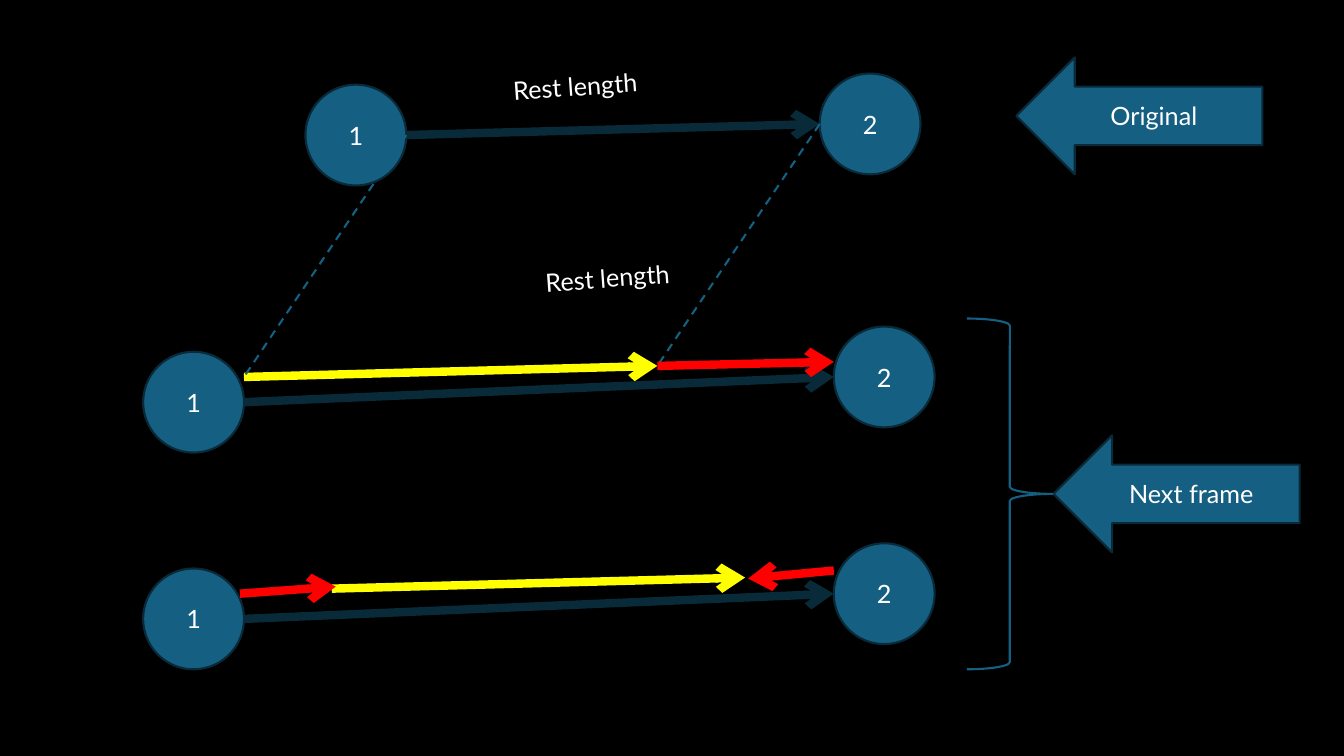
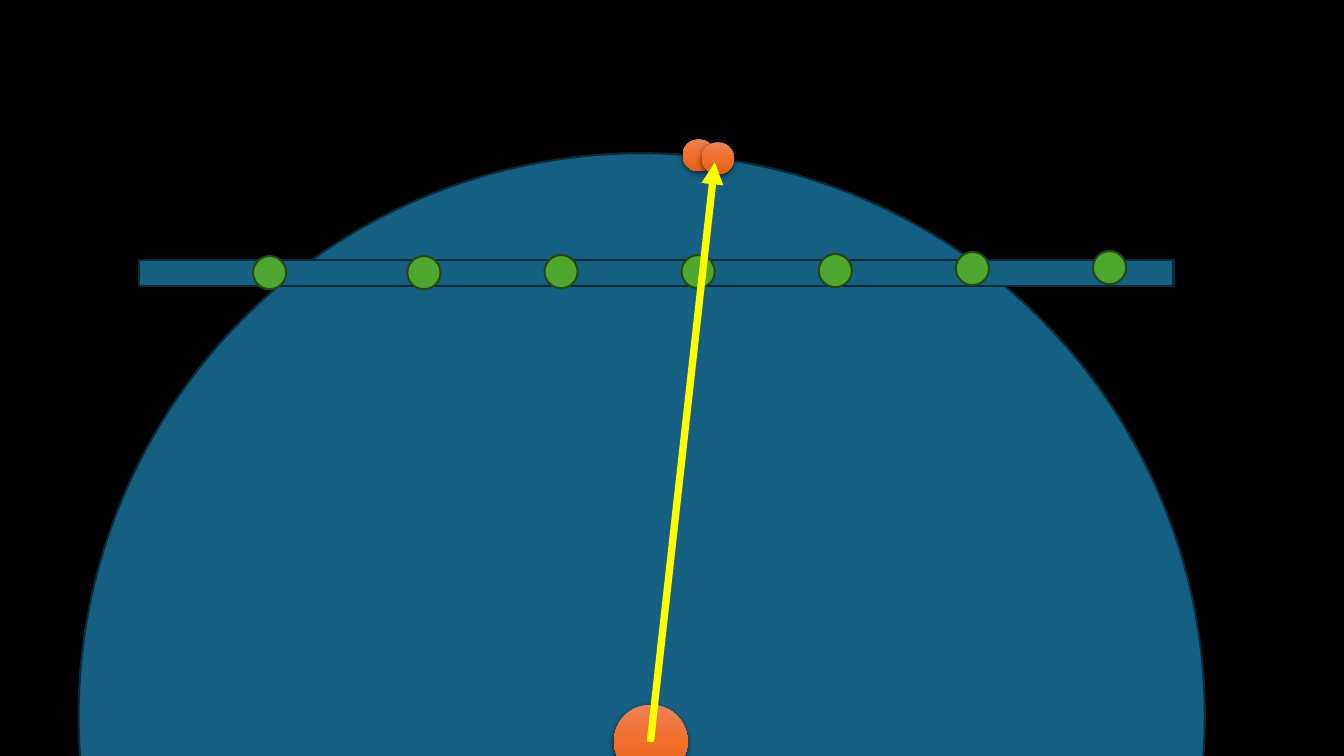
from dataclasses import dataclass

from lxml import etree
from pptx import Presentation
from pptx.dml.color import RGBColor
from pptx.enum.dml import MSO_LINE
from pptx.enum.shapes import MSO_CONNECTOR, MSO_SHAPE
from pptx.enum.text import MSO_ANCHOR, MSO_AUTO_SIZE, PP_ALIGN
from pptx.oxml.ns import qn
from pptx.util import Pt

ELLIPSE = MSO_SHAPE.OVAL
RECTANGLE = MSO_SHAPE.RECTANGLE
LEFT_ARROW = MSO_SHAPE.LEFT_ARROW
RIGHT_BRACE = MSO_SHAPE.RIGHT_BRACE
STRAIGHT = MSO_CONNECTOR.STRAIGHT
DASH = MSO_LINE.DASH

EMU_PER_PX = 9144  # 100 px to the inch
FONT = "Lato"
TEXT_SIZE = 18
OUTLINE_WIDTH = 1.5
ARROW_WIDTH = 6
RADIUS_ARROW_WIDTH = 5.25

BLACK = "000000"
WHITE = "FFFFFF"
BLUE = "156082"
NAVY = "092A39"
GREEN = "4EA72E"
DARK_GREEN = "224914"
YELLOW = "FFFF00"
RED = "FF0000"
ORANGE_STOPS = ((0, "ED8257"), (50, "F26E29"), (100, "E25F1A"))

NODE_SIZE = 100
REST_VECTOR = (410, -11)
LABEL_ROTATION = -4.1


@dataclass(frozen=True)
class Box:
    left: int
    top: int
    width: int
    height: int


@dataclass(frozen=True)
class Arrow:
    start: tuple[int, int]
    end: tuple[int, int]
    color: str


@dataclass(frozen=True)
class SpringRow:
    """Top left corners of the two nodes of one spring."""
    first: tuple[int, int]
    second: tuple[int, int]


ORIGINAL = SpringRow((303, 84), (813, 73))
STRETCHED = SpringRow((142, 349), (827, 324))
CORRECTED = SpringRow((142, 564), (827, 539))


def px(length: int) -> int:
    return length * EMU_PER_PX


def rgb(color: str) -> RGBColor:
    return RGBColor.from_string(color)


def shifted(point: tuple[int, int], offset: tuple[int, int]) -> tuple[int, int]:
    return point[0] + offset[0], point[1] + offset[1]


def add_run(paragraph, text: str) -> None:
    run = paragraph.add_run()
    run.text = text
    run.font.name = FONT
    run.font.size = Pt(TEXT_SIZE)
    run.font.color.rgb = rgb(WHITE)


def add_shape(shapes, kind, box: Box, fill: str | None, line: str | None, text: str = ""):
    shape = shapes.add_shape(kind, px(box.left), px(box.top), px(box.width), px(box.height))
    shape.shadow.inherit = False
    if fill:
        shape.fill.solid()
        shape.fill.fore_color.rgb = rgb(fill)
    else:
        shape.fill.background()
    if line:
        shape.line.color.rgb = rgb(line)
        shape.line.width = Pt(OUTLINE_WIDTH)
    else:
        shape.line.fill.background()
    if text:
        shape.text_frame.vertical_anchor = MSO_ANCHOR.MIDDLE
        paragraph = shape.text_frame.paragraphs[0]
        paragraph.alignment = PP_ALIGN.CENTER
        add_run(paragraph, text)
    return shape


def add_color_element(parent, color: str):
    return etree.SubElement(parent, qn("a:srgbClr"), val=color)


def add_ball(shapes, left: int, top: int, size: int) -> None:
    """Draw an orange gradient disc with a soft shadow below it."""
    ball = add_shape(shapes, ELLIPSE, Box(left, top, size, size), None, None)
    ball.fill.gradient()
    ball.fill.gradient_angle = 270
    properties = ball._element.spPr
    stops = properties.find(qn("a:gradFill")).find(qn("a:gsLst"))
    for stop in list(stops):
        stops.remove(stop)
    for position, color in ORANGE_STOPS:
        add_color_element(etree.SubElement(stops, qn("a:gs"), pos=str(position * 1000)), color)
    shadow = etree.SubElement(
        properties.find(qn("a:effectLst")), qn("a:outerShdw"),
        blurRad=str(Pt(4.5)), dist=str(Pt(1.5)), dir=str(90 * 60000),
        algn="ctr", rotWithShape="0",
    )
    etree.SubElement(add_color_element(shadow, BLACK), qn("a:alpha"), val="63000")


def add_line(shapes, start: tuple[int, int], end: tuple[int, int], color: str,
             width: float, head: str = "", dash=None) -> None:
    connector = shapes.add_connector(STRAIGHT, *map(px, start + end))
    connector.line.color.rgb = rgb(color)
    connector.line.width = Pt(width)
    if dash is not None:
        connector.line.dash_style = dash
    properties = connector._element.spPr
    if head:
        etree.SubElement(properties.find(qn("a:ln")), qn("a:tailEnd"), type=head)
    etree.SubElement(properties, qn("a:effectLst"))


def add_arrow(shapes, arrow: Arrow) -> None:
    add_line(shapes, arrow.start, arrow.end, arrow.color, ARROW_WIDTH, "arrow")


def add_spring(shapes, row: SpringRow) -> None:
    """Draw both nodes and the dark arrow between their facing sides."""
    for text, corner in (("2", row.second), ("1", row.first)):
        add_shape(shapes, ELLIPSE, Box(*corner, NODE_SIZE, NODE_SIZE), BLUE, NAVY, text)
    start = shifted(row.first, (NODE_SIZE, NODE_SIZE // 2))
    end = shifted(row.second, (0, NODE_SIZE // 2))
    add_arrow(shapes, Arrow(start, end, NAVY))


def add_rest_label(shapes, left: int, top: int) -> None:
    label = shapes.add_textbox(px(left), px(top), px(188), px(40))
    label.rotation = LABEL_ROTATION
    label.text_frame.word_wrap = True
    label.text_frame.auto_size = MSO_AUTO_SIZE.SHAPE_TO_FIT_TEXT
    add_run(label.text_frame.paragraphs[0], "Rest length")


def add_blank_slide(presentation):
    return presentation.slides.add_slide(presentation.slide_layouts[6])


def build_spring_slide(presentation) -> None:
    shapes = add_blank_slide(presentation).shapes
    add_spring(shapes, ORIGINAL)
    add_rest_label(shapes, 499, 64)

    add_spring(shapes, STRETCHED)
    add_rest_label(shapes, 531, 254)
    rest_start = (242, 374)
    rest_end = shifted(rest_start, REST_VECTOR)
    add_arrow(shapes, Arrow(rest_start, rest_end, YELLOW))
    original_start = shifted(ORIGINAL.first, (NODE_SIZE, NODE_SIZE // 2))
    for start, end in ((original_start, rest_start),
                       (shifted(original_start, REST_VECTOR), rest_end)):
        add_line(shapes, start, end, BLUE, OUTLINE_WIDTH, dash=DASH)
    add_arrow(shapes, Arrow(rest_end, (827, 359), RED))

    add_spring(shapes, CORRECTED)
    centered_start = (329, 584)
    for arrow in (
        Arrow(centered_start, shifted(centered_start, REST_VECTOR), YELLOW),
        Arrow((827, 566), (742, 574), RED),
        Arrow((238, 589), (333, 582), RED),
    ):
        add_arrow(shapes, arrow)

    for left, top, text in ((1008, 57, "Original"), (1045, 432, "Next frame")):
        add_shape(shapes, LEFT_ARROW, Box(left, top, 244, 116), BLUE, NAVY, text)
    add_shape(shapes, RIGHT_BRACE, Box(959, 316, 85, 348), None, BLUE)


def build_circle_slide(presentation) -> None:
    shapes = add_blank_slide(presentation).shapes
    wheel = shapes.add_group_shape().shapes
    add_shape(wheel, ELLIPSE, Box(78, 152, 1117, 1117), BLUE, NAVY)
    for left, top, size in ((609, 699, 73), (677, 138, 32), (696, 141, 32)):
        add_ball(wheel, left, top, size)

    bar = shapes.add_group_shape().shapes
    add_shape(bar, RECTANGLE, Box(138, 258, 1026, 26), BLUE, NAVY)
    dot_lefts = (251, *range(404, 1085, 136))
    dot_tops = (254, 254, 253, 253, 252, 250, 249)
    for left, top in zip(dot_lefts, dot_tops):
        add_shape(bar, ELLIPSE, Box(left, top, 33, 33), GREEN, DARK_GREEN)

    add_line(shapes, (645, 736), (709, 161), YELLOW, RADIUS_ARROW_WIDTH, "triangle")


def main() -> None:
    presentation = Presentation()
    presentation.slide_width = px(1333)
    presentation.slide_height = px(750)
    background = presentation.slide_master.background.fill
    background.solid()
    background.fore_color.rgb = rgb(BLACK)
    build_spring_slide(presentation)
    build_circle_slide(presentation)
    presentation.save("out.pptx")


if __name__ == "__main__":
    main()
